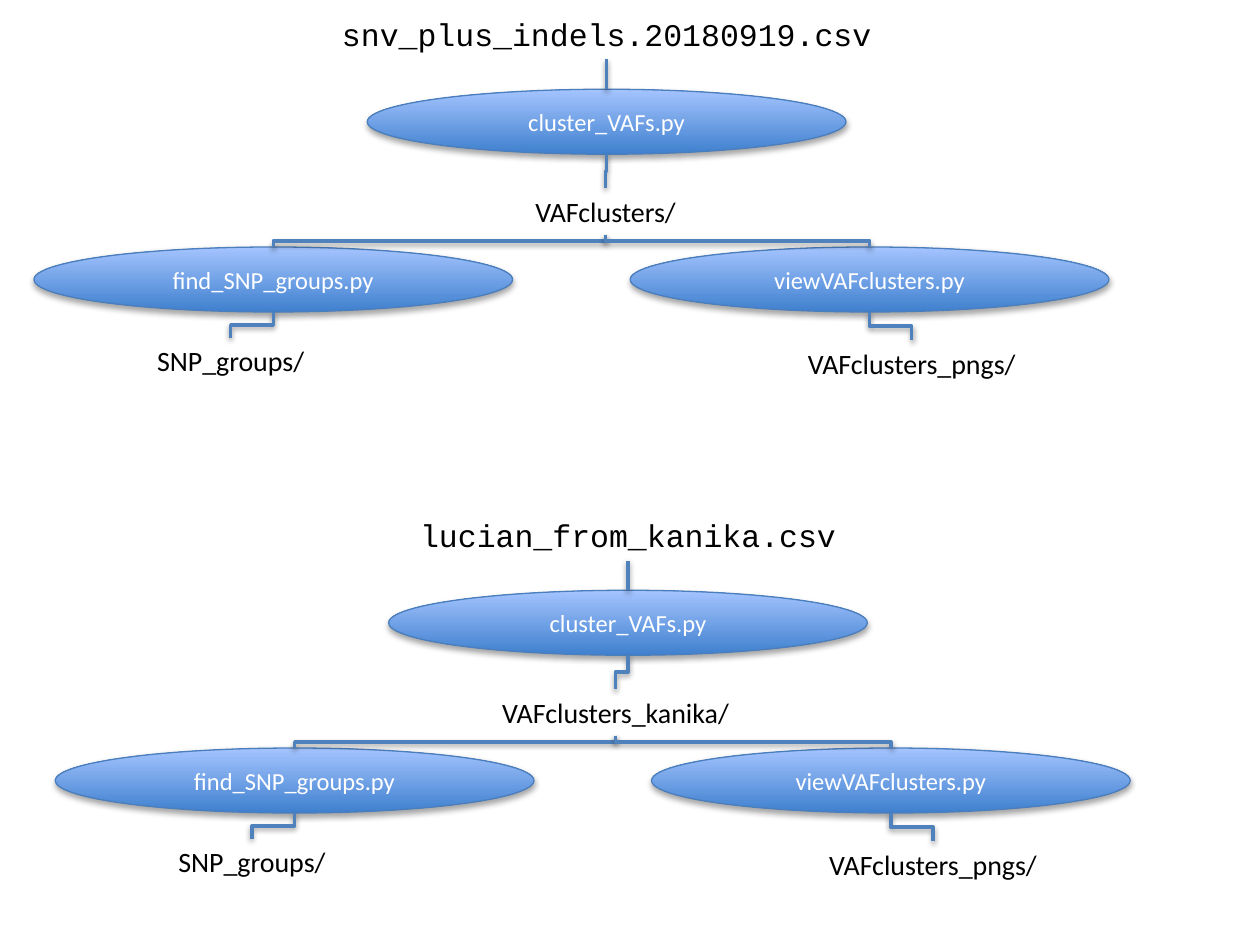
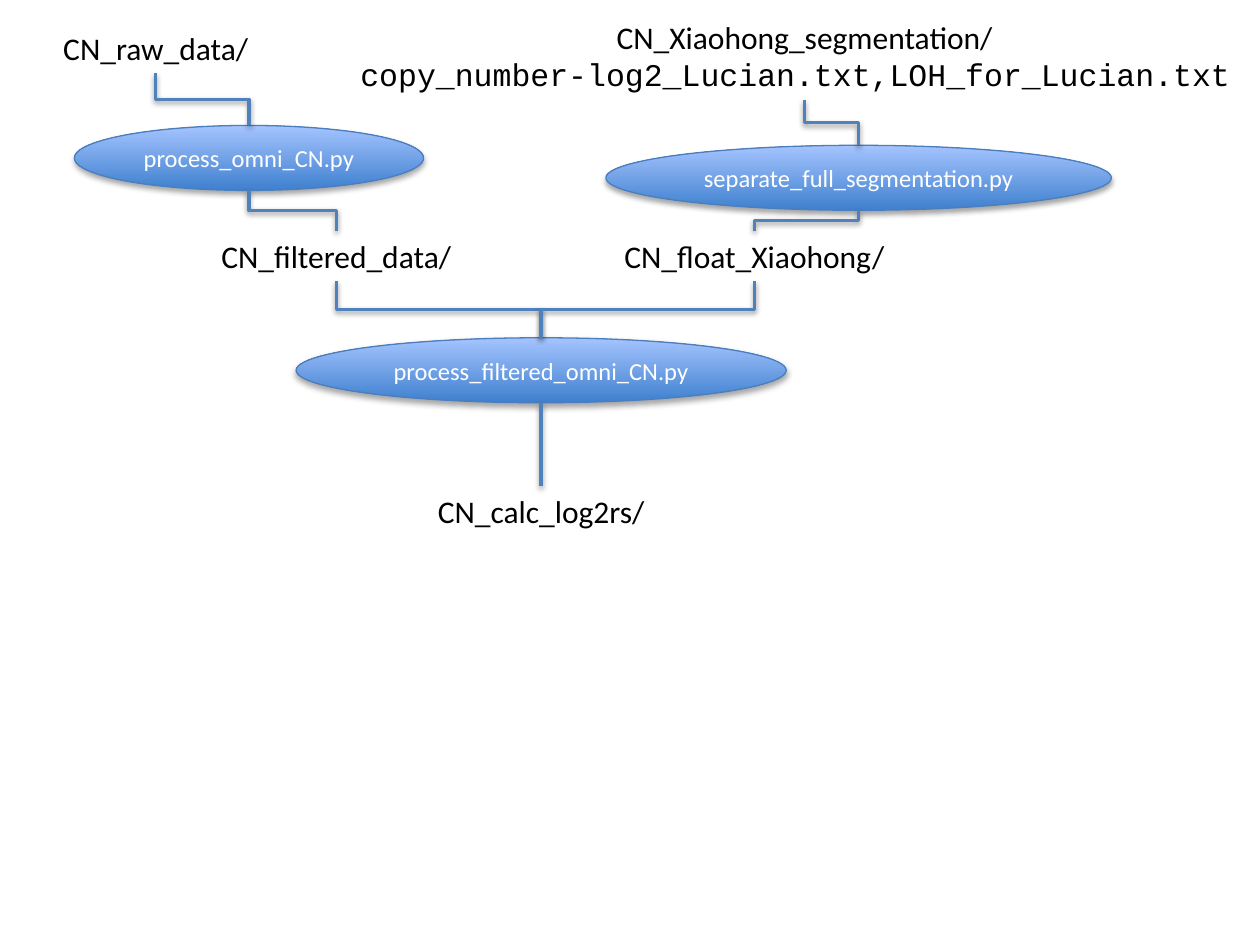
from lxml import etree
from pptx import Presentation
from pptx import util as u
from pptx.dml.color import RGBColor
from pptx.enum import shapes, text
from pptx.oxml.ns import qn

THEME = {
    "colors": {"oval_dark": "3F80CE", "oval_light": "A4C4FF", "oval_edge": "4B7EBC",
               "link": "4F81BD", "shadow": "000000"},
    "script": {"name": "Calibri", "size": u.Pt(14), "color": "FFFFFF"},
    "folder": {"name": "Calibri", "size": u.Pt(16), "color": "000000"},
    "big_folder": {"name": "Calibri", "size": u.Pt(18), "color": "000000"},
    "file": {"name": "Courier New", "size": u.Pt(18), "color": "000000"},
    "heights": {"script": 1.31, "folder": 0.94, "big_folder": 1.02, "file": 1.02},
    "extra_line": 0.77,
}
COLORS = {name: RGBColor.from_string(value) for name, value in THEME["colors"].items()}


def add_shadow(shape, distance, alpha):
    """Give a shape or connector a soft shadow falling straight down."""
    effects = etree.SubElement(shape._element.spPr, qn("a:effectLst"))
    shadow = etree.SubElement(effects, qn("a:outerShdw"), blurRad="40000",
                              dist=str(distance), dir="5400000", rotWithShape="0")
    color = etree.SubElement(shadow, qn("a:srgbClr"), val=THEME["colors"]["shadow"])
    etree.SubElement(color, qn("a:alpha"), val=str(alpha * 1000))


def add_link(slide, source, target):
    """Join the bottom of source to the top of target with an elbow."""
    start_x, start_y = source.left + source.width // 2, source.top + source.height
    end_x, end_y = target.left + target.width // 2, target.top
    connector = slide.shapes.add_connector(
        shapes.MSO_CONNECTOR.ELBOW, start_x, start_y, end_x, end_y)
    connector.begin_connect(source, 2)
    connector.end_connect(target, 0)
    if source.shape_type == shapes.MSO_SHAPE_TYPE.AUTO_SHAPE:
        # The bottom of an ellipse is its connection site 4
        connector._element.nvCxnSpPr.cNvCxnSpPr.stCxn.set("idx", "4")

    # A vertical-first elbow is a horizontal one turned by a quarter
    drop, reach = end_y - start_y, abs(end_x - start_x)
    goes_left = end_x < start_x
    geometry = {"left": (start_x + end_x - drop) // 2,
                "top": (start_y + end_y - reach) // 2,
                "width": drop, "height": reach}
    for name, value in geometry.items():
        setattr(connector, name, value)
    turn = {"rot": 90 if goes_left else 270, "flipH": not goes_left, "flipV": False}
    for name, value in turn.items():
        setattr(connector._element.spPr.xfrm, name, value)

    connector.line.color.rgb = COLORS["link"]
    connector.line.width = u.Pt(2)
    add_shadow(connector, 20000, 38)


# Each node: key -> (style of each line, lines, centre x, top, width), in cm
def_links = [("input", "cluster"), ("cluster", "clusters"), ("clusters", "find"),
             ("clusters", "view"), ("find", "groups"), ("view", "pngs")]
cluster_trees = []
for input_name, folder_name, folder_center, folder_width, shift_x, shift_y in [
    ("snv_plus_indels.20180919.csv", "VAFclusters/", 12.21, 4.85, 0, 0),
    ("lucian_from_kanika.csv", "VAFclusters_kanika/", 11.98, 5.28, 0.43, 10.1),
]:
    tree = {
        "input": (["file"], [input_name], 12.23, 0.18, 11.2),
        "cluster": (["script"], ["cluster_VAFs.py"], 12.23, 1.8, 9.65),
        "clusters": (["folder"], [folder_name], folder_center, 3.79, folder_width),
        "find": (["script"], ["find_SNP_groups.py"], 5.51, 4.98, 9.65),
        "view": (["script"], ["viewVAFclusters.py"], 17.53, 4.98, 9.65),
        "groups": (["folder"], ["SNP_groups/"], 4.65, 6.81, 5.05),
        "pngs": (["folder"], ["VAFclusters_pngs/"], 18.38, 6.86, 6.63),
    }
    cluster_trees.append((tree, def_links, shift_x, shift_y))

copy_number_tree = {
    "raw": (["big_folder"], ["CN_raw_data/"], 3.14, 0.46, 4.75),
    "omni": (["script"], ["process_omni_CN.py"], 5.02, 2.53, 7.04),
    "filtered": (["big_folder"], ["CN_filtered_data/"], 6.78, 4.65, 7.82),
    "segmentation": (["big_folder", "file"],
                     ["CN_Xiaohong_segmentation/",
                      "copy_number-log2_Lucian.txt,LOH_for_Lucian.txt "],
                     16.22, 0.23, 18.62),
    "separate": (["script"], ["separate_full_segmentation.py"], 17.31, 2.93, 10.19),
    "float": (["big_folder"], ["CN_float_Xiaohong/"], 15.21, 4.65, 5.99),
    "merge": (["script"], ["process_filtered_omni_CN.py"], 10.91, 6.81, 9.88),
    "calc": (["big_folder"], ["CN_calc_log2rs/"], 10.91, 9.8, 7.82),
}
copy_number_links = [("raw", "omni"), ("omni", "filtered"), ("filtered", "merge"),
                     ("segmentation", "separate"), ("separate", "float"),
                     ("float", "merge"), ("merge", "calc")]

presentation = Presentation()
presentation.slide_width, presentation.slide_height = u.Cm(25.4), u.Cm(19.05)

for trees in [cluster_trees, [(copy_number_tree, copy_number_links, 0, 0)]]:
    slide = presentation.slides.add_slide(presentation.slide_layouts[6])
    for tree, links, shift_x, shift_y in trees:
        nodes = {}
        for key, (styles, lines, center, top, width) in tree.items():
            height = THEME["heights"][styles[0]] + THEME["extra_line"] * (len(lines) - 1)
            box = [u.Cm(value) for value in
                   (center - width / 2 + shift_x, top + shift_y, width, height)]
            if styles[0] == "script":
                shape = slide.shapes.add_shape(shapes.MSO_SHAPE.OVAL, *box)
                shape.fill.gradient()
                shape.fill.gradient_angle = 90
                for stop, color in zip(shape.fill.gradient_stops,
                                       ("oval_dark", "oval_light")):
                    stop.color.rgb = COLORS[color]
                shape.line.color.rgb = COLORS["oval_edge"]
                shape.line.width = u.Pt(0.75)
                add_shadow(shape, 23000, 35)
                frame_format = {"vertical_anchor": text.MSO_ANCHOR.MIDDLE}
            else:
                shape = slide.shapes.add_textbox(*box)
                frame_format = {"auto_size": text.MSO_AUTO_SIZE.SHAPE_TO_FIT_TEXT}
            frame = shape.text_frame
            for name, value in {"word_wrap": True, **frame_format}.items():
                setattr(frame, name, value)
            frame.text = "\n".join(lines)
            for paragraph, style in zip(frame.paragraphs, styles):
                paragraph.alignment = text.PP_ALIGN.CENTER
                font = paragraph.runs[0].font
                for name in ("name", "size"):
                    setattr(font, name, THEME[style][name])
                font.color.rgb = RGBColor.from_string(THEME[style]["color"])
            nodes[key] = shape
        for source, target in links:
            add_link(slide, nodes[source], nodes[target])

presentation.save("out.pptx")
